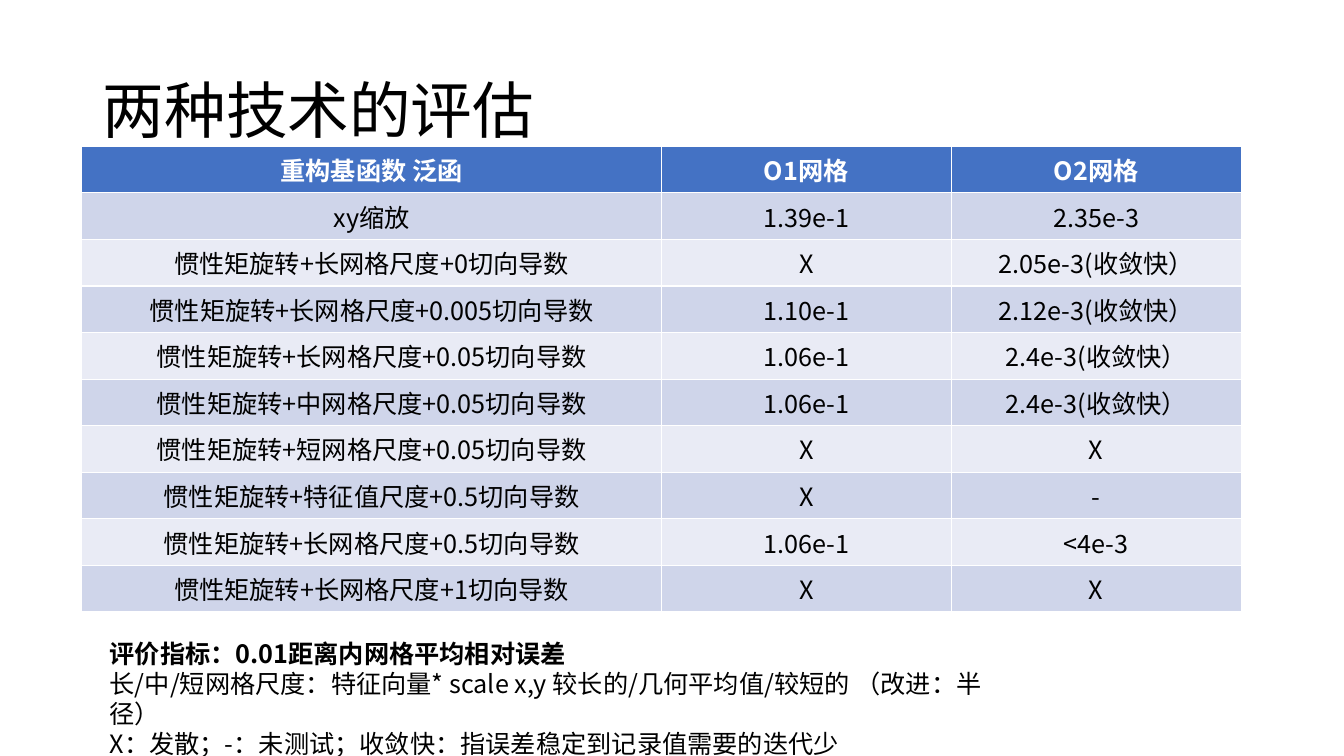
from lxml.etree import SubElement
from pptx import Presentation
from pptx.dml.color import RGBColor
from pptx.enum.text import MSO_ANCHOR, MSO_AUTO_SIZE, PP_ALIGN
from pptx.oxml.ns import qn
from pptx.util import Inches, Pt

FONT = "Noto Sans CJK SC"
COLORS = {
    "text": "000000",
    "header_text": "FFFFFF",
    "header": "4472C4",
    "odd_row": "CFD5EA",
    "even_row": "E9EBF5",
}
SLIDE_WIDTH, SLIDE_HEIGHT = Inches(13.33), Inches(7.5)
TITLE_BOX = [Inches(length) for length in (0.92, 0.4, 11.5, 1.45)]
TABLE_BOX = [Inches(length) for length in (0.81, 1.45, 11.5, 4.6)]
NOTES_BOX = [Inches(length) for length in (0.99, 6.28, 9.17, 1.62)]
COLUMN_SHARES = (0.5, 0.25, 0.25)

TITLE = "两种技术的评估"
HEADER = ("重构基函数 泛函", "O1网格", "O2网格")
# Scale, tangential derivative weight, O1 error, O2 error
ROTATION_RESULTS = [
    ("长网格", "0", "X", "2.05e-3(收敛快）"),
    ("长网格", "0.005", "1.10e-1", "2.12e-3(收敛快）"),
    ("长网格", "0.05", "1.06e-1", "2.4e-3(收敛快）"),
    ("中网格", "0.05", "1.06e-1", "2.4e-3(收敛快）"),
    ("短网格", "0.05", "X", "X"),
    ("特征值", "0.5", "X", "-"),
    ("长网格", "0.5", "1.06e-1", "<4e-3"),
    ("长网格", "1", "X", "X"),
]
ROWS = [HEADER, ("xy缩放", "1.39e-1", "2.35e-3")] + [
    (f"惯性矩旋转+{scale}尺度+{weight}切向导数", first, second)
    for scale, weight, first, second in ROTATION_RESULTS
]
NOTES = [
    "评价指标：0.01距离内网格平均相对误差",
    "长/中/短网格尺度：特征向量* scale x,y 较长的/几何平均值/较短的 （改进：半径）",
    "X：发散；-：未测试；收敛快：指误差稳定到记录值需要的迭代少",
]


def format_runs(paragraph, size, color="text", bold=False):
    for run in paragraph.runs:
        font = run.font
        font.size = Pt(size)
        font.bold = bold
        font.name = FONT
        font.color.rgb = RGBColor.from_string(COLORS[color])
        east_asian = SubElement(run._r.get_or_add_rPr(), qn("a:ea"))
        east_asian.set("typeface", FONT)


def add_title(slide, box):
    title = slide.shapes.title
    title.left, title.top, title.width, title.height = box
    frame = title.text_frame
    frame.text = TITLE
    frame.word_wrap = True
    frame.auto_size = MSO_AUTO_SIZE.NONE
    frame.vertical_anchor = MSO_ANCHOR.MIDDLE
    paragraph = frame.paragraphs[0]
    paragraph.alignment = PP_ALIGN.LEFT
    paragraph.line_spacing = 0.9
    format_runs(paragraph, 44)


def add_results_table(slide, box):
    table = slide.shapes.add_table(len(ROWS), len(HEADER), *box).table
    for column, share in zip(table.columns, COLUMN_SHARES):
        column.width = int(box[2] * share)
    for row_index, values in enumerate(ROWS):
        is_header = row_index == 0
        fill = "header" if is_header else ("even_row", "odd_row")[row_index % 2]
        for column_index, value in enumerate(values):
            cell = table.cell(row_index, column_index)
            cell.fill.solid()
            cell.fill.fore_color.rgb = RGBColor.from_string(COLORS[fill])
            cell.text_frame.text = value
            paragraph = cell.text_frame.paragraphs[0]
            paragraph.alignment = PP_ALIGN.CENTER
            format_runs(paragraph, 18, "header_text" if is_header else "text", is_header)


def add_notes_text(slide, box):
    frame = slide.shapes.add_textbox(*box).text_frame
    frame.word_wrap = True
    frame.text = "\n".join(NOTES)
    for index, paragraph in enumerate(frame.paragraphs):
        format_runs(paragraph, 18, bold=index == 0)


def main():
    presentation = Presentation()
    presentation.slide_width, presentation.slide_height = SLIDE_WIDTH, SLIDE_HEIGHT
    slide = presentation.slides.add_slide(presentation.slide_layouts.get_by_name("Title Only"))
    add_title(slide, TITLE_BOX)
    add_results_table(slide, TABLE_BOX)
    add_notes_text(slide, NOTES_BOX)
    presentation.save("out.pptx")


if __name__ == "__main__":
    main()
